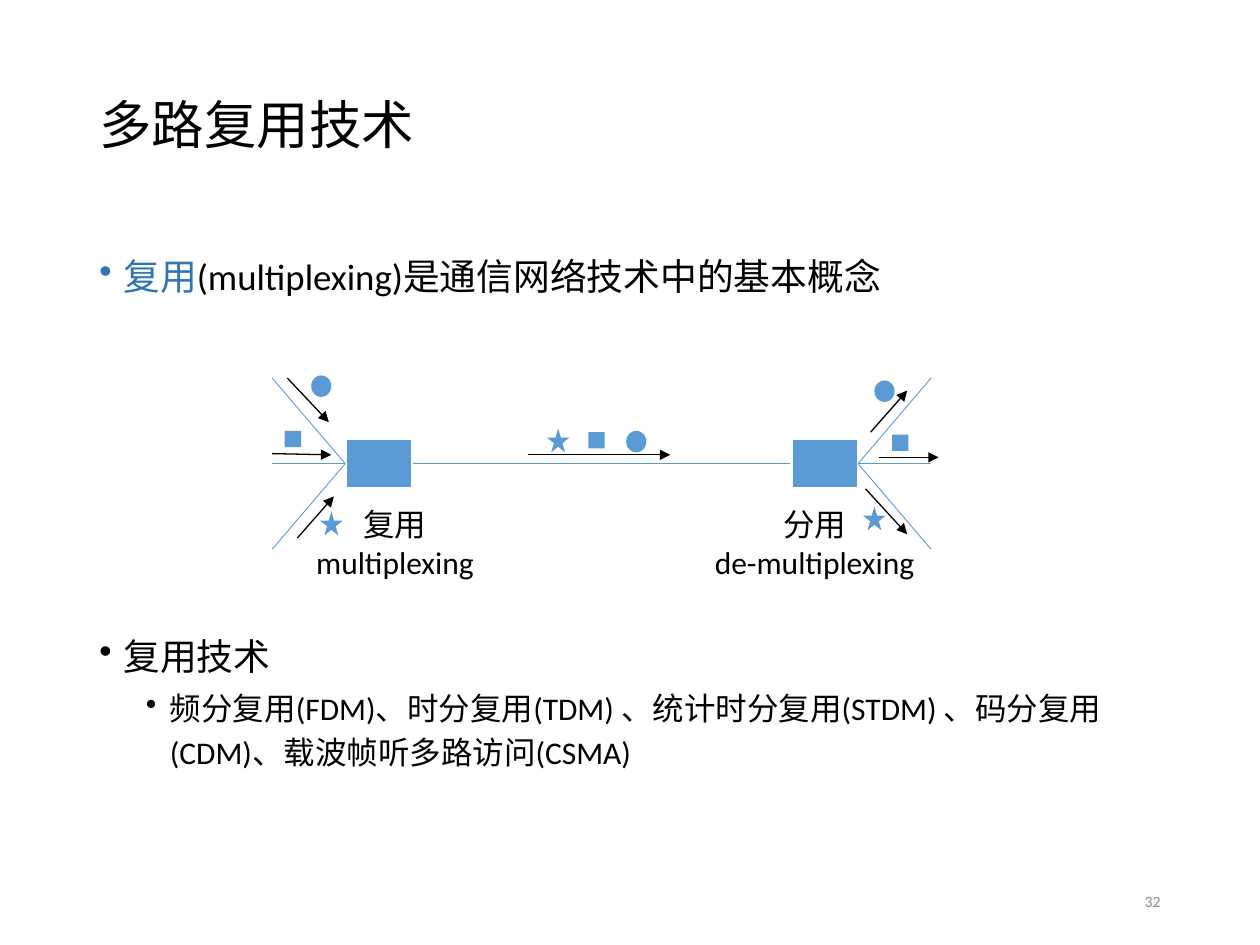
from lxml import etree
from pptx import Presentation, util as u
from pptx.dml.color import RGBColor
from pptx.enum import shapes, text
from pptx.oxml.ns import qn

PX = 9144  # 100 px to the inch
BLACK = RGBColor(0, 0, 0)
WHITE = RGBColor(255, 255, 255)
BLUE = RGBColor(0x5B, 0x9B, 0xD5)
DEEP = RGBColor(0x2E, 0x75, 0xB6)
GRAY = RGBColor(0x8C, 0x8C, 0x8C)
KIND = shapes.MSO_SHAPE
ALIGN = text.PP_ALIGN
MID = text.MSO_ANCHOR.MIDDLE

# Each icon: preset, width, height
DISC = (KIND.OVAL, 16, 17)
TILE = (KIND.RECTANGLE, 13, 13)
STAR = (KIND.STAR_5_POINT, 18, 19)


def emu(*nums):
    return [u.Emu(n * PX) for n in nums]


def bullet(para, left):
    """Hang a round bullet 19 px before the text at left."""
    props = para._p.get_or_add_pPr()
    props.set("marL", str(left * PX))
    props.set("indent", str(-19 * PX))
    etree.SubElement(props, qn("a:buChar")).set("char", "•")


def write(frame, *runs, size=18, color=BLACK, align=ALIGN.LEFT, line=None,
          before=None, left=None, first=False):
    """Add a paragraph; a run is a string or a (string, color) pair."""
    para = frame.paragraphs[0] if first else frame.add_paragraph()
    para.alignment = align
    if line:
        para.line_spacing = line
    if before:
        para.space_before = u.Pt(before)
    if left:
        bullet(para, left)
    para.font.size = u.Pt(size)
    for item in runs:
        words, tint = item if isinstance(item, tuple) else (item, color)
        run = para.add_run()
        run.text = words
        run.font.name = "Calibri"
        run.font.size = u.Pt(size)
        run.font.color.rgb = tint


def frame(slide, box, wrap=True, anchor=text.MSO_ANCHOR.TOP):
    area = slide.shapes.add_textbox(*emu(*box)).text_frame
    area.word_wrap = wrap
    area.vertical_anchor = anchor
    return area


def block(slide, kind, box, edge=None):
    shape = slide.shapes.add_shape(kind, *emu(*box))
    shape.shadow.inherit = False
    shape.fill.solid()
    shape.fill.fore_color.rgb = BLUE
    if edge:
        shape.line.color.rgb = edge
        shape.line.width = u.Pt(1.5)
    else:
        shape.line.fill.background()


def link(slide, ends, color=BLUE, width=0.5, arrow=False):
    line = slide.shapes.add_connector(shapes.MSO_CONNECTOR.STRAIGHT, *emu(*ends))
    line.line.color.rgb = color
    line.line.width = u.Pt(width)
    if arrow:
        etree.SubElement(line.line._get_or_add_ln(), qn("a:tailEnd")).set("type", "triangle")
    etree.SubElement(line._element.spPr, qn("a:effectLst"))


def title(slide, box):
    write(frame(slide, box, anchor=MID), "多路复用技术", size=30, line=0.9, first=True)


def body(slide, box):
    area = frame(slide, box)
    write(area, ("复用", DEEP), "(multiplexing)是通信网络技术中的基本概念",
          size=21, line=1.14, left=19, first=True)
    # The wide gap leaves room for the diagram
    write(area, "复用技术", size=21, line=1.14, before=188, left=19)
    write(area, "频分复用(FDM)、时分复用(TDM) 、统计时分复用(STDM) 、"
          "码分复用(CDM)、载波帧听多路访问(CSMA)",
          line=1.14, before=3.8, left=56)


def diagram(slide, box):
    """Three flows join at one node, share a line and part at another."""
    x, y, wide, high = box
    mid = y + high // 2
    hubs = (x + 58, x + wide - 58)
    link(slide, (x + 111, mid, x + 412, mid))
    for hub, tip, node in zip(hubs, (x, x + wide), (x + 58, x + 412)):
        block(slide, KIND.RECTANGLE, (node, mid - 20, 53, 40), WHITE)
        for end in (y, mid, y + high):
            link(slide, (tip, end, hub, mid))

    for left, width, names in ((24, 147, ("复用", "multiplexing")),
                               (340, 181, ("分用", "de-multiplexing"))):
        area = frame(slide, (x + left, y + 96, width, 71), wrap=False)
        for n, name in enumerate(names):
            write(area, name, align=ALIGN.CENTER, first=n == 0)

    icons = ((DISC, ((31, -2), (281, 42), (478, 2))),
             (TILE, ((10, 42), (251, 43), (492, 45))),
             (STAR, ((38, 106), (218, 40), (469, 102))))
    for (kind, w, h), spots in icons:
        for left, top in spots:
            block(slide, kind, (x + left, y + top, w, h))

    arrows = ((12, 0, 45, 35), (0, 60, 47, 61), (20, 127, 49, 94),
              (203, 61, 316, 61),
              (475, 43, 504, 10), (482, 63, 529, 63), (471, 88, 504, 124))
    for x1, y1, x2, y2 in arrows:
        link(slide, (x + x1, y + y1, x + x2, y + y2), BLACK, 0.75, True)


def number(slide, box):
    write(frame(slide, box, anchor=MID), "32", size=9, color=GRAY,
          align=ALIGN.RIGHT, first=True)


def main():
    deck = Presentation()
    deck.slide_width, deck.slide_height = emu(1000, 750)
    slide = deck.slides.add_slide(deck.slide_layouts[6])
    title(slide, (69, 40, 862, 123))
    body(slide, (69, 192, 862, 484))
    diagram(slide, (216, 300, 523, 136))
    number(slide, (706, 695, 225, 40))
    deck.save("out.pptx")


if __name__ == "__main__":
    main()
